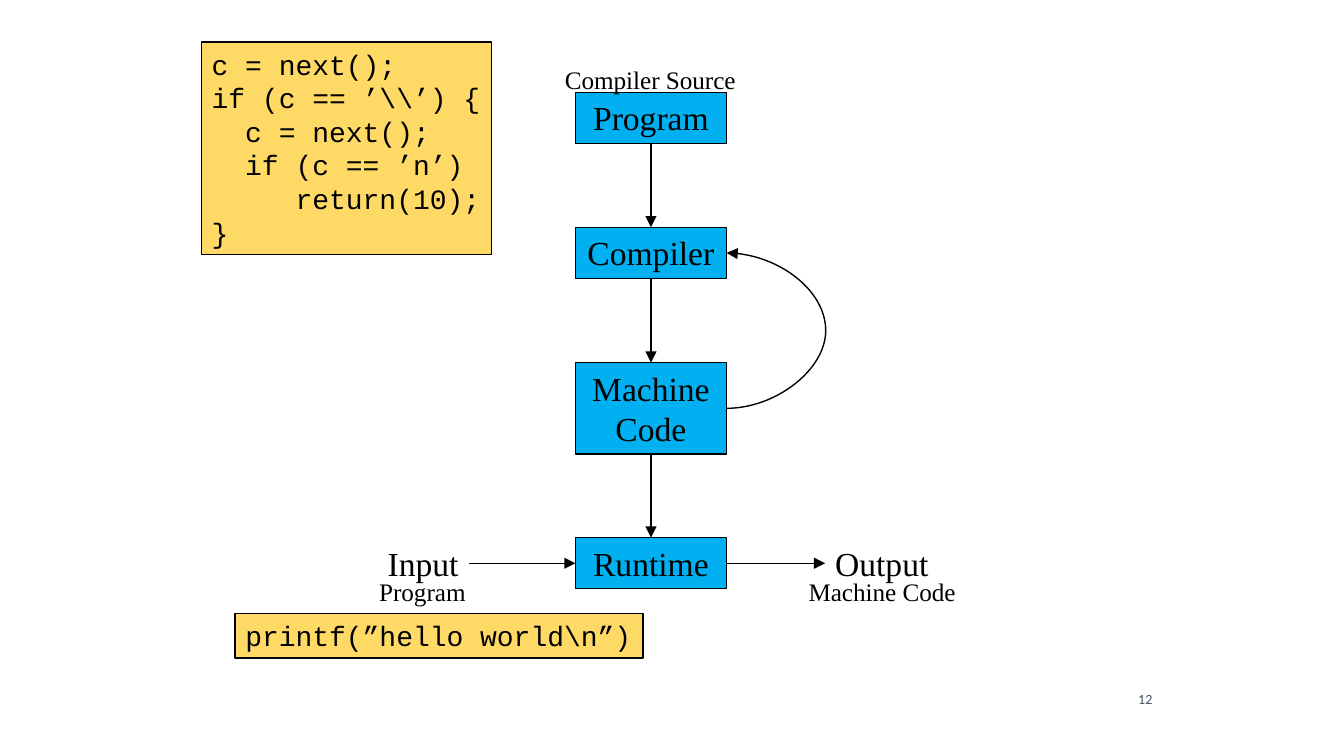
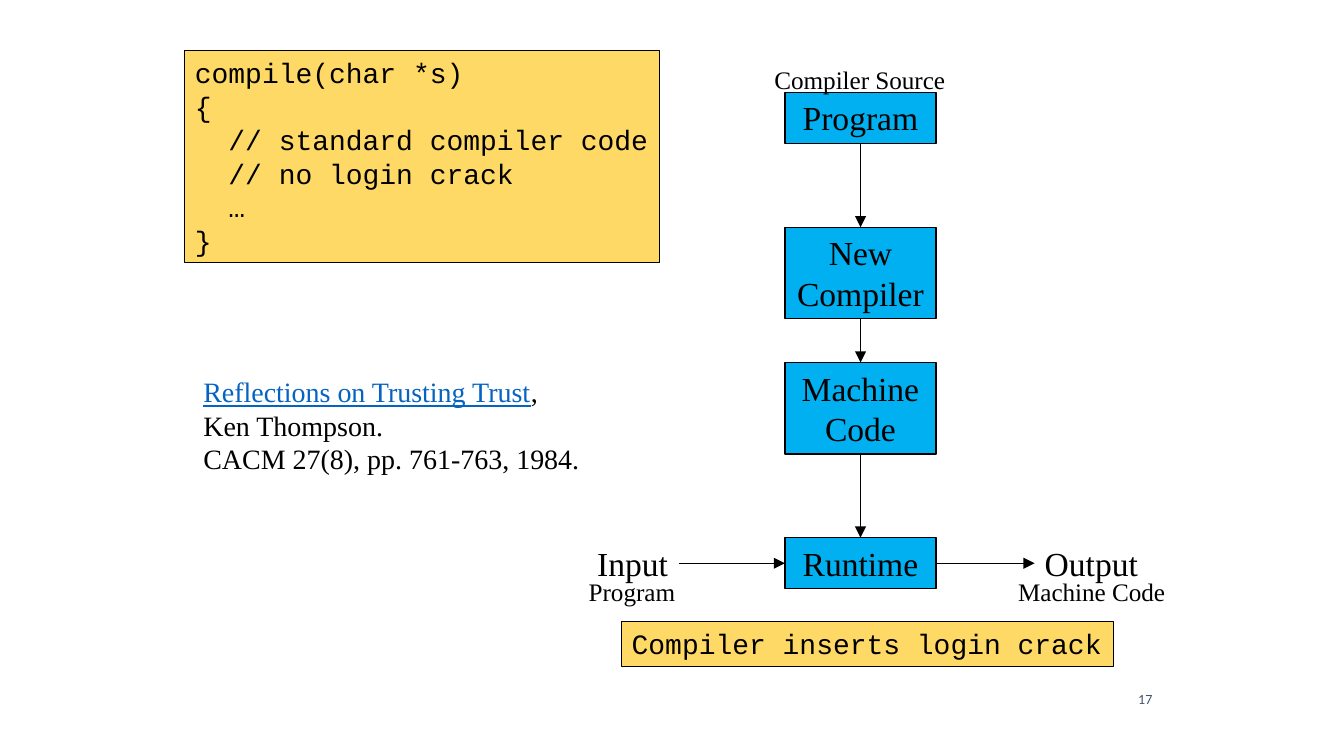
from itertools import pairwise

from lxml.etree import SubElement
from pptx import Presentation
from pptx.dml.color import RGBColor
from pptx.enum.shapes import MSO_CONNECTOR as Link, MSO_SHAPE as Preset
from pptx.enum.text import MSO_ANCHOR as Anchor, PP_ALIGN as Align
from pptx.oxml.ns import qn
from pptx.util import Pt

BLACK, BLUE, YELLOW = "000000", "00B0F0", "FFD966"
SLATE, LINK_BLUE = "44546A", "0563C1"
SERIF, MONO, SANS = "Times New Roman", "Courier New", "Calibri"
TOP, LEFT, BOTTOM, RIGHT = range(4)

BLOCK_WIDTH = 81
ONE_LINE, TWO_LINES = 27.5, 49
LINE_WIDTH = 0.75
BULGE = 37.5
PAGE_BOX = (590.4, 367.2, 32.4, 31)

# Text, offset from the left of the block column, top, width
CAPTIONS = [
    ("Compiler Source", -11, 31.75, 103),
    ("Program", -110.5, 306, 57.5),
    ("Machine Code", 119.5, 306, 90),
]
INPUT = ("Input", -106, 49)
OUTPUT = ("Output", 133.75, 61.5)

SLIDES = [
    {
        "page": "12",
        "column": 308.25,
        "stages": [
            ("Program", 49.5, ONE_LINE),
            ("Compiler", 121.75, ONE_LINE),
            ("Machine Code", 194.25, TWO_LINES),
            ("Runtime", 288, ONE_LINE),
        ],
        "feedback": ("Machine Code", "Compiler"),
        "code": [
            ((108, 22.5, 155.5, 113.75), [
                "c = next();",
                "if (c == ’\\\\’) {",
                "  c = next();",
                "  if (c == ’n’)",
                "     return(10);",
                "}",
            ]),
            ((126, 328.5, 218.5, 24), ["printf(”hello world\\n”)"]),
        ],
    },
    {
        "page": "17",
        "column": 420.5,
        "stages": [
            ("Program", 49.5, ONE_LINE),
            ("New Compiler", 121.75, TWO_LINES),
            ("Machine Code", 194.25, TWO_LINES),
            ("Runtime", 288, ONE_LINE),
        ],
        "code": [
            ((99, 27, 254.5, 113.75), [
                "compile(char *s)",
                "{",
                "  // standard compiler code",
                "  // no login crack",
                "  …",
                "}",
            ]),
            ((333, 333, 263.5, 24), ["Compiler inserts login crack"]),
        ],
        "citation": ((103.5, 198, 212.5, 60), [
            [("Reflections on Trusting Trust", LINK_BLUE), (",", BLACK)],
            "Ken Thompson.",
            "CACM 27(8), pp. 761-763, 1984.",
        ]),
    },
]


def rgb(value):
    return RGBColor.from_string(value)


def write(shape, lines, size, font=SERIF, color=BLACK, align=Align.LEFT, wrap=False):
    """Fill a shape; a line is a string or a list of (text, colour) runs."""
    frame = shape.text_frame
    frame.word_wrap = wrap
    frame.vertical_anchor = Anchor.TOP
    frame.margin_left = frame.margin_right = Pt(5.4)
    frame.margin_top = frame.margin_bottom = Pt(2.7)
    for index, line in enumerate(lines):
        paragraph = frame.add_paragraph() if index else frame.paragraphs[0]
        paragraph.alignment = align
        for text, ink in [(line, color)] if isinstance(line, str) else line:
            run = paragraph.add_run()
            run.text = text
            run.font.name = font
            run.font.size = Pt(size)
            run.font.color.rgb = rgb(ink)
            run.font.underline = True if ink == LINK_BLUE else None


def add_label(slide, box, lines, size, **style):
    label = slide.shapes.add_textbox(*map(Pt, box))
    write(label, lines, size, **style)
    return label


def add_panel(slide, box, fill, lines, size, **style):
    panel = slide.shapes.add_shape(Preset.RECTANGLE, *map(Pt, box))
    panel.shadow.inherit = False
    panel.fill.solid()
    panel.fill.fore_color.rgb = rgb(fill)
    panel.line.color.rgb = rgb(BLACK)
    panel.line.width = Pt(LINE_WIDTH)
    write(panel, lines, size, **style)
    return panel


def add_arrow(slide, source, source_side, target, target_side, kind=Link.STRAIGHT):
    arrow = slide.shapes.add_connector(kind, 0, 0, 0, 0)
    arrow.begin_connect(source, source_side)
    arrow.end_connect(target, target_side)
    arrow.line.color.rgb = rgb(BLACK)
    arrow.line.width = Pt(LINE_WIDTH)
    SubElement(arrow.line._get_or_add_ln(), qn("a:tailEnd"), type="triangle")
    SubElement(arrow._element.spPr, qn("a:effectLst"))
    return arrow


def add_feedback(slide, source, target):
    """Curve from the right side of source up to the right side of target."""
    curve = add_arrow(slide, source, RIGHT, target, RIGHT, Link.CURVE)
    hair = Pt(0.04)
    curve.width = hair
    properties = curve._element.spPr
    frame = properties.find(qn("a:xfrm"))
    frame.attrib.pop("flipV", None)
    frame.set("rot", "10800000")
    frame.set("flipH", "1")
    guides = properties.find(qn("a:prstGeom")).get_or_add_avLst()
    reach = round(Pt(BULGE) / hair * 100000)
    SubElement(guides, qn("a:gd"), name="adj1", fmla=f"val {reach}")


def build_slide(deck, content):
    slide = deck.slides.add_slide(deck.slide_layouts[6])
    column = content["column"]
    add_label(slide, PAGE_BOX, [content["page"]], 7.5,
              font=SANS, color=SLATE, align=Align.RIGHT)

    blocks = {
        name: add_panel(slide, (column, top, BLOCK_WIDTH, height), BLUE, [name], 18,
                        align=Align.CENTER, wrap=True)
        for name, top, height in content["stages"]
    }
    for upper, lower in pairwise(blocks.values()):
        add_arrow(slide, upper, BOTTOM, lower, TOP)

    runtime_top = content["stages"][-1][1]
    source, sink = (
        add_label(slide, (column + offset, runtime_top, width, ONE_LINE), [name], 18)
        for name, offset, width in (INPUT, OUTPUT)
    )
    add_arrow(slide, source, RIGHT, blocks["Runtime"], LEFT)
    add_arrow(slide, blocks["Runtime"], RIGHT, sink, LEFT)

    for caption, offset, top, width in CAPTIONS:
        add_label(slide, (column + offset, top, width, 21.5), [caption], 13.5)
    if "feedback" in content:
        add_feedback(slide, *(blocks[name] for name in content["feedback"]))
    for box, lines in content["code"]:
        add_panel(slide, box, YELLOW, lines, 15, font=MONO)
    if "citation" in content:
        box, lines = content["citation"]
        add_label(slide, box, lines, 15)


def main():
    deck = Presentation()
    deck.slide_width, deck.slide_height = Pt(720), Pt(405)
    for content in SLIDES:
        build_slide(deck, content)
    deck.save("out.pptx")


if __name__ == "__main__":
    main()
